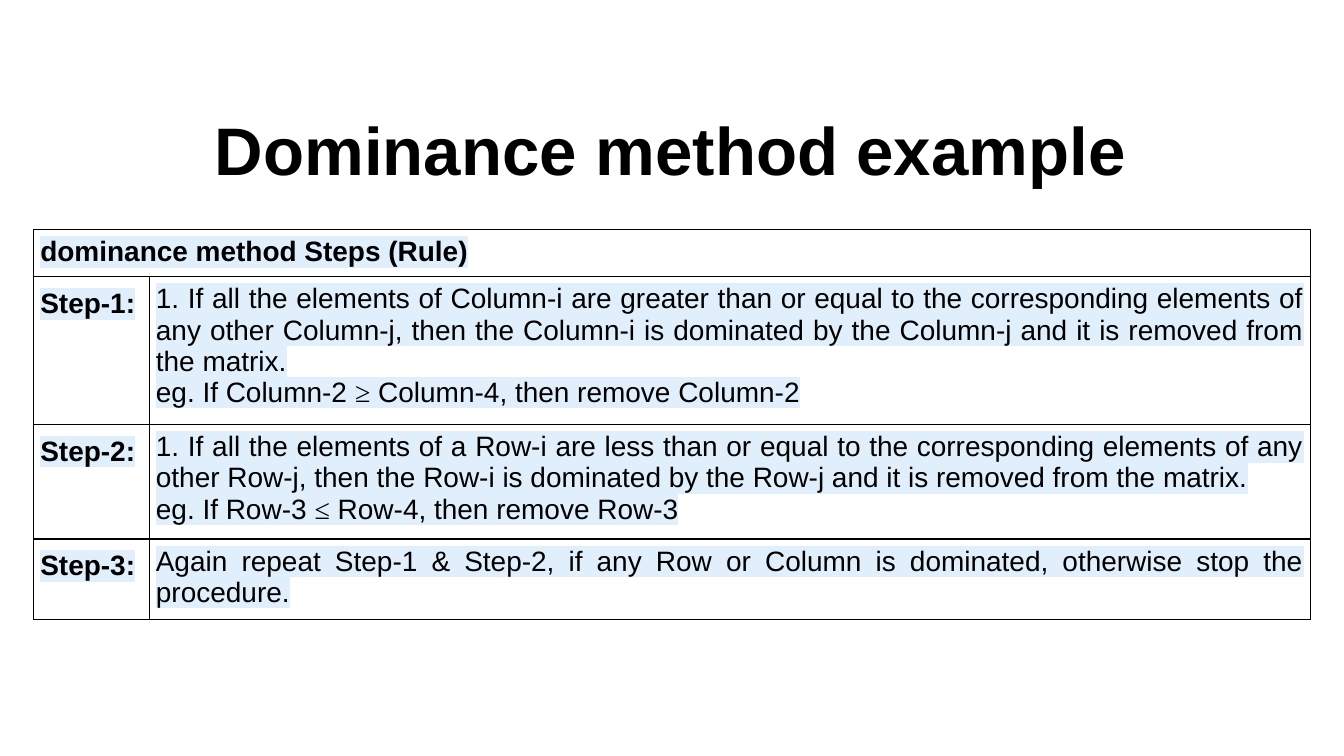
import pptx
import pptx.dml.color
import pptx.enum.text
import pptx.oxml
import pptx.oxml.ns
import pptx.util
from dataclasses import dataclass
from pptx.util import Inches

ALIGN = pptx.enum.text.PP_ALIGN


@dataclass(frozen=True)
class Theme:
    ink: str = "000000"
    highlight: str = "E1EFFD"
    font: str = "Arial"
    symbol_font: str = "Times New Roman"
    title_size: int = 36
    body_size: int = 15
    border_width: float = 0.75


THEME = Theme()
NS = pptx.oxml.ns.nsdecls("a")

HEADING = "dominance method Steps (Rule)"
STEPS = [
    ("Step-1:", [
        "1. If all the elements of Column-i are greater than or equal to the corresponding "
        "elements of any other Column-j, then the Column-i is dominated by the Column-j "
        "and it is removed from the matrix.",
        ("eg. If Column-2 ", "≥", " Column-4, then remove Column-2")]),
    ("Step-2:", [
        "1. If all the elements of a Row-i are less than or equal to the corresponding "
        "elements of any other Row-j, then the Row-i is dominated by the Row-j "
        "and it is removed from the matrix.",
        ("eg. If Row-3 ", "≤", " Row-4, then remove Row-3")]),
    ("Step-3:", [
        "Again repeat Step-1 & Step-2, if any Row or Column is dominated, "
        "otherwise stop the procedure."]),
]


def write(frame, paragraphs, size=THEME.body_size, bold=False, align=ALIGN.JUSTIFY,
          spacing=None, highlight=None):
    """Fill a text frame; a paragraph is a string or a tuple of runs."""
    frame.word_wrap = True
    for index, content in enumerate(paragraphs):
        paragraph = frame.add_paragraph() if index else frame.paragraphs[0]
        paragraph.alignment = align
        if spacing:
            paragraph.line_spacing = spacing
        for text in (content,) if isinstance(content, str) else content:
            run = paragraph.add_run()
            run.text = text
            font = run.font
            font.size = pptx.util.Pt(size)
            font.bold = bold
            font.name = THEME.symbol_font if text in "≥≤" else THEME.font
            font.color.rgb = pptx.dml.color.RGBColor.from_string(THEME.ink)
            if highlight:
                # The highlight must follow the text colour
                fill = run._r.rPr.find(pptx.oxml.ns.qn("a:solidFill"))
                fill.addnext(pptx.oxml.parse_xml(
                    f'<a:highlight {NS}><a:srgbClr val="{highlight}"/></a:highlight>'))


def style_cell(cell):
    """Clear the fill, draw thin borders on all sides and set the margins."""
    properties = cell._tc.get_or_add_tcPr()
    width = pptx.util.Pt(THEME.border_width)
    for side in "LRTB":
        properties.append(pptx.oxml.parse_xml(
            f'<a:ln{side} {NS} w="{width}"><a:solidFill><a:srgbClr val="{THEME.ink}"/>'
            f'</a:solidFill></a:ln{side}>'))
    cell.fill.background()
    cell.margin_left = cell.margin_right = Inches(0.05)
    cell.margin_top = cell.margin_bottom = Inches(0.05)


def add_title(slide, left, top, width, height):
    frame = slide.shapes.add_textbox(left, top, width, height).text_frame
    frame.margin_left = frame.margin_right = Inches(0.1)
    frame.margin_top = frame.margin_bottom = Inches(0.1)
    write(frame, ["Dominance method example"], size=THEME.title_size, bold=True,
          align=ALIGN.CENTER)


def add_steps_table(slide, left, top, width, height):
    label_width = Inches(0.86)
    steps = slide.shapes.add_table(len(STEPS) + 1, 2, left, top, width, height)
    table = steps.table
    table.first_row = table.horz_banding = False
    table.columns[0].width = label_width
    table.columns[1].width = width - label_width
    # Least heights: rows grow to fit their text
    for row, row_height in zip(table.rows, (0.27, 0.62, 0.6, 0.47)):
        row.height = Inches(row_height)
    steps.height = height
    for cell in table.iter_cells():
        style_cell(cell)

    # Heading across both columns
    heading = table.cell(0, 0)
    heading.merge(table.cell(0, 1))
    write(heading.text_frame, [HEADING], bold=True, highlight=THEME.highlight)

    # One row for each step
    for row, (label, rule) in enumerate(STEPS, start=1):
        write(table.cell(row, 0).text_frame, [label], bold=True, spacing=1.15,
              highlight=THEME.highlight)
        write(table.cell(row, 1).text_frame, rule, highlight=THEME.highlight)


def main():
    deck = pptx.Presentation()
    deck.slide_width = Inches(10)
    deck.slide_height = deck.slide_width * 9 // 16
    slide = deck.slides.add_slide(deck.slide_layouts[6])
    add_title(slide, Inches(0.11), Inches(0.71), Inches(9.76), Inches(1.03))
    add_steps_table(slide, Inches(0.25), Inches(1.71), Inches(9.5), Inches(2.92))
    deck.save("out.pptx")


if __name__ == "__main__":
    main()
